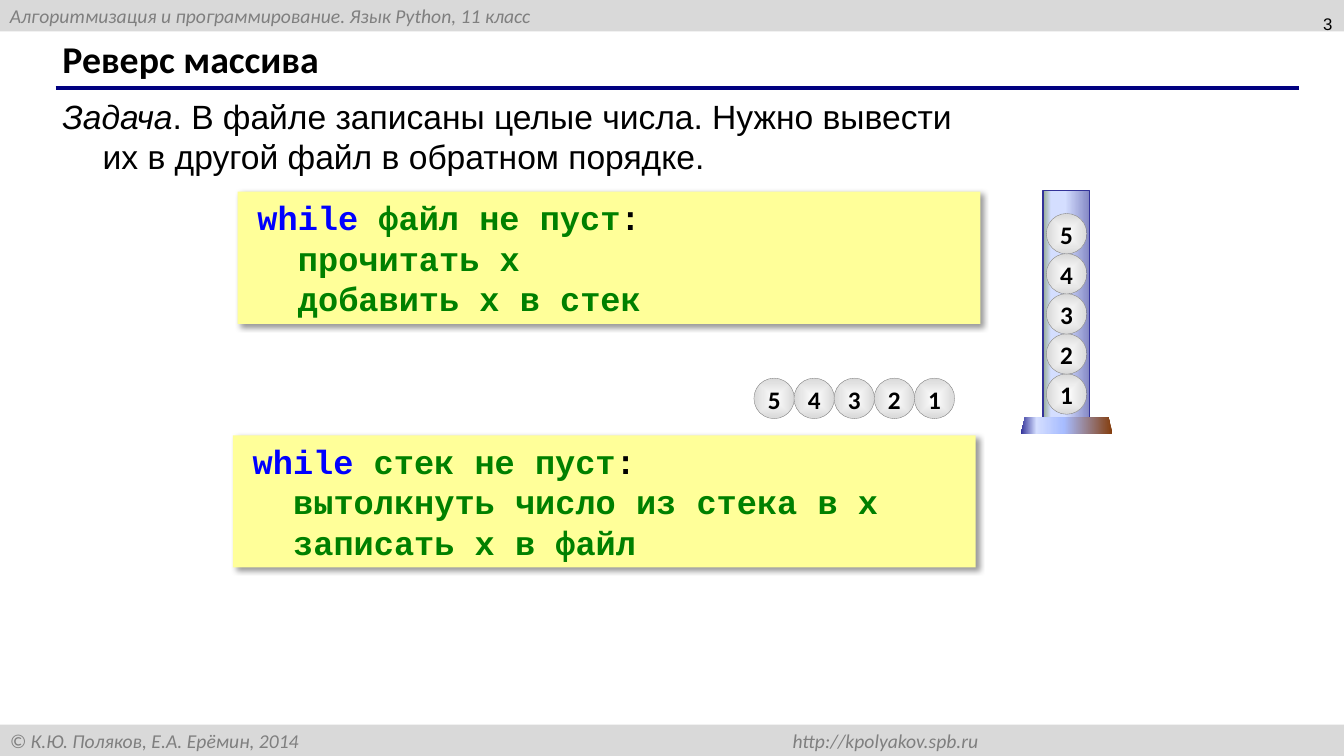
"""Build the slide about reversing an array with a stack."""
from lxml import etree
from pptx import Presentation
from pptx.dml.color import RGBColor
from pptx.enum.shapes import MSO_CONNECTOR, MSO_SHAPE
from pptx.enum.text import MSO_ANCHOR, PP_ALIGN
from pptx.oxml import parse_xml
from pptx.util import Cm, Pt

RECTANGLE, TRAPEZOID, OVAL = MSO_SHAPE.RECTANGLE, MSO_SHAPE.TRAPEZOID, MSO_SHAPE.OVAL
STRAIGHT = MSO_CONNECTOR.STRAIGHT
TOP, MIDDLE = MSO_ANCHOR.TOP, MSO_ANCHOR.MIDDLE
LEFT, CENTER, RIGHT = PP_ALIGN.LEFT, PP_ALIGN.CENTER, PP_ALIGN.RIGHT

BLACK = RGBColor(0x00, 0x00, 0x00)
BAND_GRAY = RGBColor(0xD9, 0xD9, 0xD9)
TEXT_GRAY = RGBColor(0x7F, 0x7F, 0x7F)
EDGE_GRAY = RGBColor(0x80, 0x80, 0x80)
WHITE = RGBColor(0xFF, 0xFF, 0xFF)
NAVY = RGBColor(0x00, 0x00, 0x80)
TOWER_EDGE = RGBColor(0x33, 0x33, 0x99)
TOWER_DARK = RGBColor(0x84, 0x88, 0xC4)
TOWER_LIGHT = RGBColor(0xD4, 0xDE, 0xFF)
TOWER_GREEN = RGBColor(0x96, 0xAB, 0x94)
BASE_BROWN = RGBColor(0x84, 0x3C, 0x0B)
BASE_BLUE = RGBColor(0xA7, 0xBC, 0xFF)
CODE_YELLOW = RGBColor(0xFF, 0xFF, 0x99)
KEYWORD_BLUE = RGBColor(0x00, 0x00, 0xFF)
CODE_GREEN = RGBColor(0x00, 0x80, 0x00)

NAMESPACE = "http://schemas.openxmlformats.org/drawingml/2006/main"
LINEAR = '<a:lin ang="10800000" scaled="0"/>'
RADIAL = '<a:path path="shape"><a:fillToRect l="50000" t="50000" r="50000" b="50000"/></a:path>'
CODE_SHADOW = (
    f'<a:effectLst xmlns:a="{NAMESPACE}">'
    '<a:outerShdw blurRad="50800" dist="38100" dir="2700000" algn="tl" rotWithShape="0">'
    '<a:srgbClr val="000000"><a:alpha val="40000"/></a:srgbClr>'
    "</a:outerShdw></a:effectLst>"
)


def write_spans(para, spans, font, size, bold=False, italic=False):
    """Add coloured runs that share one font."""
    for text, color in spans:
        span = para.add_run()
        span.text = text
        span.font.name = font
        span.font.size = Pt(size)
        span.font.bold = bold
        span.font.italic = italic
        span.font.color.rgb = color


def paint_gradient(shape, stops, direction):
    """Give a shape a gradient fill and no shadow."""
    shape.shadow.inherit = False
    marks = "".join(
        f'<a:gs pos="{share * 1000}"><a:srgbClr val="{color}"/></a:gs>' for share, color in stops
    )
    shape._element.spPr.insert(2, parse_xml(
        f'<a:gradFill xmlns:a="{NAMESPACE}" rotWithShape="1">'
        f"<a:gsLst>{marks}</a:gsLst>{direction}</a:gradFill>"
    ))


deck = Presentation()
deck.slide_width, deck.slide_height = Cm(33.87), Cm(19.05)
page = deck.slides.add_slide(deck.slide_layouts[6])
shapes = page.shapes

bands = [
    (0, "Алгоритмизация и программирование. Язык Python, 11 класс"),
    (18.26, "© К.Ю. Поляков, Е.А. Ерёмин, 2014 \thttp://kpolyakov.spb.ru"),
]
for top, text in bands:
    band = shapes.add_shape(RECTANGLE, 0, Cm(top), deck.slide_width, Cm(0.79))
    band.shadow.inherit = False
    band.fill.solid()
    band.fill.fore_color.rgb = BAND_GRAY
    band.line.fill.background()
    band.text_frame.vertical_anchor = MIDDLE
    para = band.text_frame.paragraphs[0]
    para.alignment = LEFT
    write_spans(para, [(text, TEXT_GRAY)], "Calibri", 14, italic=True)
    if "\t" in text:
        tabs = etree.SubElement(para._p.get_or_add_pPr(), f"{{{NAMESPACE}}}tabLst")
        etree.SubElement(tabs, f"{{{NAMESPACE}}}tab", pos=str(Cm(24.41)), algn="r")

rule = shapes.add_connector(STRAIGHT, Cm(1.4), Cm(2.21), Cm(32.74), Cm(2.21))
rule.line.color.rgb = NAVY
rule.line.width = Pt(3)
etree.SubElement(rule._element.spPr, f"{{{NAMESPACE}}}effectLst")

tower = shapes.add_shape(RECTANGLE, Cm(26.29), Cm(4.8), Cm(1.17), Cm(5.72))
tower_stops = [(0, TOWER_DARK), (53, TOWER_LIGHT), (83, TOWER_LIGHT), (100, TOWER_GREEN)]
paint_gradient(tower, tower_stops, LINEAR)
tower.line.color.rgb = TOWER_EDGE
tower.line.width = Pt(1)

base = shapes.add_shape(TRAPEZOID, Cm(25.73), Cm(10.52), Cm(2.31), Cm(0.41))
base_stops = [(0, BASE_BROWN), (53, BASE_BLUE), (83, TOWER_LIGHT), (100, TOWER_EDGE)]
paint_gradient(base, base_stops, LINEAR)
base.line.fill.background()

title = shapes.add_textbox(Cm(1.32), Cm(0.89), Cm(23.27), Cm(1.32))
title.text_frame.word_wrap = True
title.text_frame.vertical_anchor = MIDDLE
para = title.text_frame.paragraphs[0]
para.line_spacing = 0.9
write_spans(para, [("Реверс массива", BLACK)], "Calibri", 27, bold=True)

number = shapes.add_textbox(Cm(25.93), 0, Cm(7.9), Cm(1.22))
number.text_frame.word_wrap = True
number.text_frame.vertical_anchor = MIDDLE
para = number.text_frame.paragraphs[0]
para.alignment = RIGHT
write_spans(para, [("3", BLACK)], "Arial", 12)

task = shapes.add_textbox(Cm(1.32), Cm(2.29), Cm(23.52), Cm(2.31))
task.text_frame.word_wrap = True
para = task.text_frame.paragraphs[0]
indents = para._p.get_or_add_pPr()
indents.set("marL", str(Cm(1.02)))
indents.set("indent", str(Cm(-1.02)))
statement = ". В файле записаны целые числа. Нужно вывести их в другой файл в обратном порядке."
write_spans(para, [("Задача", BLACK)], "Arial", 24, italic=True)
write_spans(para, [(statement, BLACK)], "Arial", 24)

loops = [
    (5.99, 4.83, "файл не пуст", ["прочитать x", "добавить x в стек"]),
    (5.87, 10.97, "стек не пуст", ["вытолкнуть число из стека в x", "записать x в файл"]),
]
for left, top, condition, steps in loops:
    code = shapes.add_shape(RECTANGLE, Cm(left), Cm(top), Cm(18.72), Cm(3.33))
    code.fill.solid()
    code.fill.fore_color.rgb = CODE_YELLOW
    code.line.fill.background()
    code._element.spPr.append(parse_xml(CODE_SHADOW))
    code.text_frame.word_wrap = True
    code.text_frame.vertical_anchor = MIDDLE
    lines = [[("while ", KEYWORD_BLUE), (condition, CODE_GREEN), (":", BLACK)]]
    lines += [[(step, CODE_GREEN)] for step in steps]
    for index, spans in enumerate(lines):
        para = code.text_frame.add_paragraph() if index else code.text_frame.paragraphs[0]
        para.alignment = LEFT
        para._p.get_or_add_pPr().set("indent", str(Cm(1.27 if index else 0.25)))
        write_spans(para, spans, "Courier New", 24, bold=True)

pitch = 1.01
balls = [(26.37, 9.42 - pitch * step, step + 1) for step in range(5)]
balls += [(19 + pitch * step, 9.53, 5 - step) for step in range(5)]
for left, top, value in balls:
    ball = shapes.add_shape(OVAL, Cm(left), Cm(top), Cm(1.02), Cm(1.02))
    paint_gradient(ball, [(0, WHITE), (100, BAND_GRAY)], RADIAL)
    ball.line.color.rgb = EDGE_GRAY
    ball.line.width = Pt(0.25)
    frame = ball.text_frame
    frame.margin_left = frame.margin_top = frame.margin_right = frame.margin_bottom = 0
    frame.vertical_anchor = TOP
    para = frame.paragraphs[0]
    para.alignment = CENTER
    write_spans(para, [(str(value), BLACK)], "Calibri", 18, bold=True)

deck.save("out.pptx")
